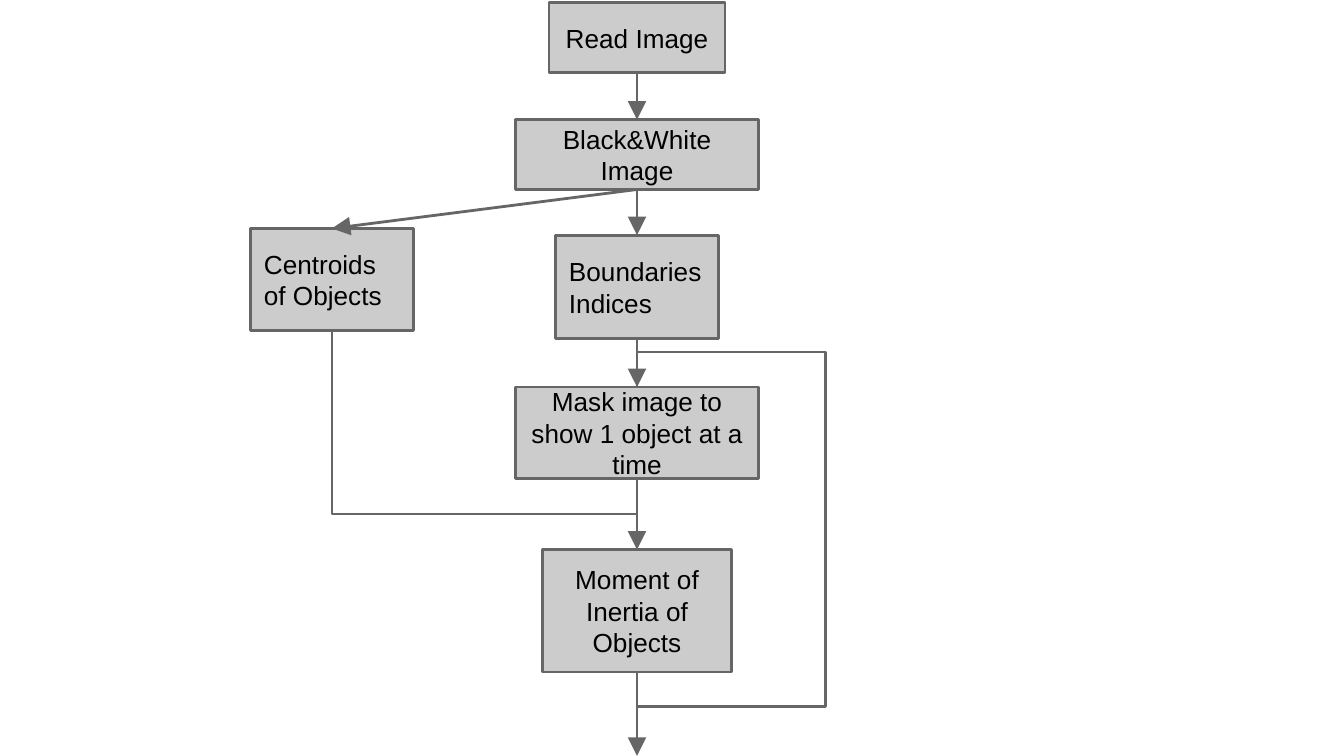
from lxml import etree
from pptx import Presentation
from pptx.dml.color import RGBColor
from pptx.enum.shapes import MSO_CONNECTOR as CONNECTOR, MSO_SHAPE as SHAPE
from pptx.enum.text import MSO_ANCHOR as ANCHOR, PP_ALIGN as ALIGN
from pptx.oxml.ns import qn
from pptx.util import Inches, Pt

SLIDE_WIDTH = 10
SLIDE_HEIGHT = SLIDE_WIDTH * 9 / 16
BOX_FILL, LINE, TEXT = "CCCCCC", "666666", "000000"
TOP, BOTTOM = 0, 2  # connection sites of a rectangle


def color(hex_value):
    return RGBColor.from_string(hex_value)


def style_line(line):
    line.color.rgb = color(LINE)
    line.width = Pt(1.5)


def write_text(frame, text, size=14, font="Arial", fill=TEXT, align=ALIGN.CENTER):
    frame.word_wrap = True
    frame.vertical_anchor = ANCHOR.MIDDLE
    frame.margin_left = frame.margin_right = Inches(0.1)
    frame.margin_top = frame.margin_bottom = Inches(0.1)
    paragraph = frame.paragraphs[0]
    paragraph.alignment = align
    run = paragraph.add_run()
    run.text = text
    run.font.size = Pt(size)
    run.font.name = font
    run.font.color.rgb = color(fill)


def add_step(slide, text, center, top, width, height, align=ALIGN.CENTER):
    """Add a step box centred on the given x position."""
    step = slide.shapes.add_shape(
        SHAPE.RECTANGLE, Inches(center - width / 2), Inches(top),
        Inches(width), Inches(height))
    step.shadow.inherit = False
    step.fill.solid()
    step.fill.fore_color.rgb = color(BOX_FILL)
    style_line(step.line)
    write_text(step.text_frame, text, align=align)
    return step


def add_arrow(slide, source, target=None, end=(0, 0)):
    """Point from the bottom of source to the top of target, or to a free end."""
    arrow = slide.shapes.add_connector(CONNECTOR.STRAIGHT, 0, 0, *end)
    arrow.begin_connect(source, BOTTOM)
    if target is not None:
        arrow.end_connect(target, TOP)
    style_line(arrow.line)
    properties = arrow._element.spPr
    etree.SubElement(properties.find(qn("a:ln")), qn("a:tailEnd"),
                     type="triangle", w="lg", len="lg")
    etree.SubElement(properties, qn("a:effectLst"))


def add_route(slide, *points):
    """Draw an open right-angled line through the points."""
    builder = slide.shapes.build_freeform(*points[0])
    builder.add_line_segments(points[1:], close=False)
    route = builder.convert_to_shape()
    route.shadow.inherit = False
    route.fill.background()
    style_line(route.line)


def draw_flowchart(slide, left, top, height):
    axis = left + 2.88

    # Steps
    read = add_step(slide, "Read Image", axis, top, 1.31, 0.52)
    binary = add_step(slide, "Black&White Image", axis, top + 0.87, 1.81, 0.52)
    centroids = add_step(slide, "Centroids of Objects", left + 0.61, top + 1.68,
                         1.21, 0.76, align=ALIGN.LEFT)
    boundaries = add_step(slide, "Boundaries Indices", axis, top + 1.73,
                          1.21, 0.77, align=ALIGN.LEFT)
    mask = add_step(slide, "Mask image to show 1 object at a time",
                    axis, top + 2.86, 1.81, 0.68)
    moment = add_step(slide, "Moment of Inertia of Objects",
                      axis, top + 4.07, 1.41, 0.91)

    # Arrows between steps, and the way out at the bottom
    for source, target in ((read, binary), (binary, boundaries), (binary, centroids),
                           (boundaries, mask), (mask, moment)):
        add_arrow(slide, source, target)
    add_arrow(slide, moment, end=(Inches(axis), Inches(top + height)))

    # Loop back from the moment of inertia to the mask
    axis_x, loop_x, gap = Inches(axis), Inches(left + 4.28), Inches(0.26)
    moment_bottom = moment.top + moment.height
    add_route(slide, (axis_x, moment_bottom), (axis_x, moment_bottom + gap),
              (loop_x, moment_bottom + gap), (loop_x, mask.top - gap),
              (axis_x, mask.top - gap), (axis_x, mask.top))

    # Centroids join halfway between the mask and the moment of inertia
    centroids_x = centroids.left + centroids.width // 2
    mask_bottom = mask.top + mask.height
    join_y = (mask_bottom + moment.top) // 2
    add_route(slide, (centroids_x, centroids.top + centroids.height),
              (centroids_x, join_y), (axis_x, join_y), (axis_x, mask_bottom))


def main():
    presentation = Presentation()
    presentation.slide_width = Inches(SLIDE_WIDTH)
    presentation.slide_height = Inches(SLIDE_HEIGHT)
    slide = presentation.slides.add_slide(presentation.slide_layouts[6])
    top = 0.02
    draw_flowchart(slide, left=1.86, top=top, height=SLIDE_HEIGHT - top)
    presentation.save("out.pptx")


if __name__ == "__main__":
    main()
